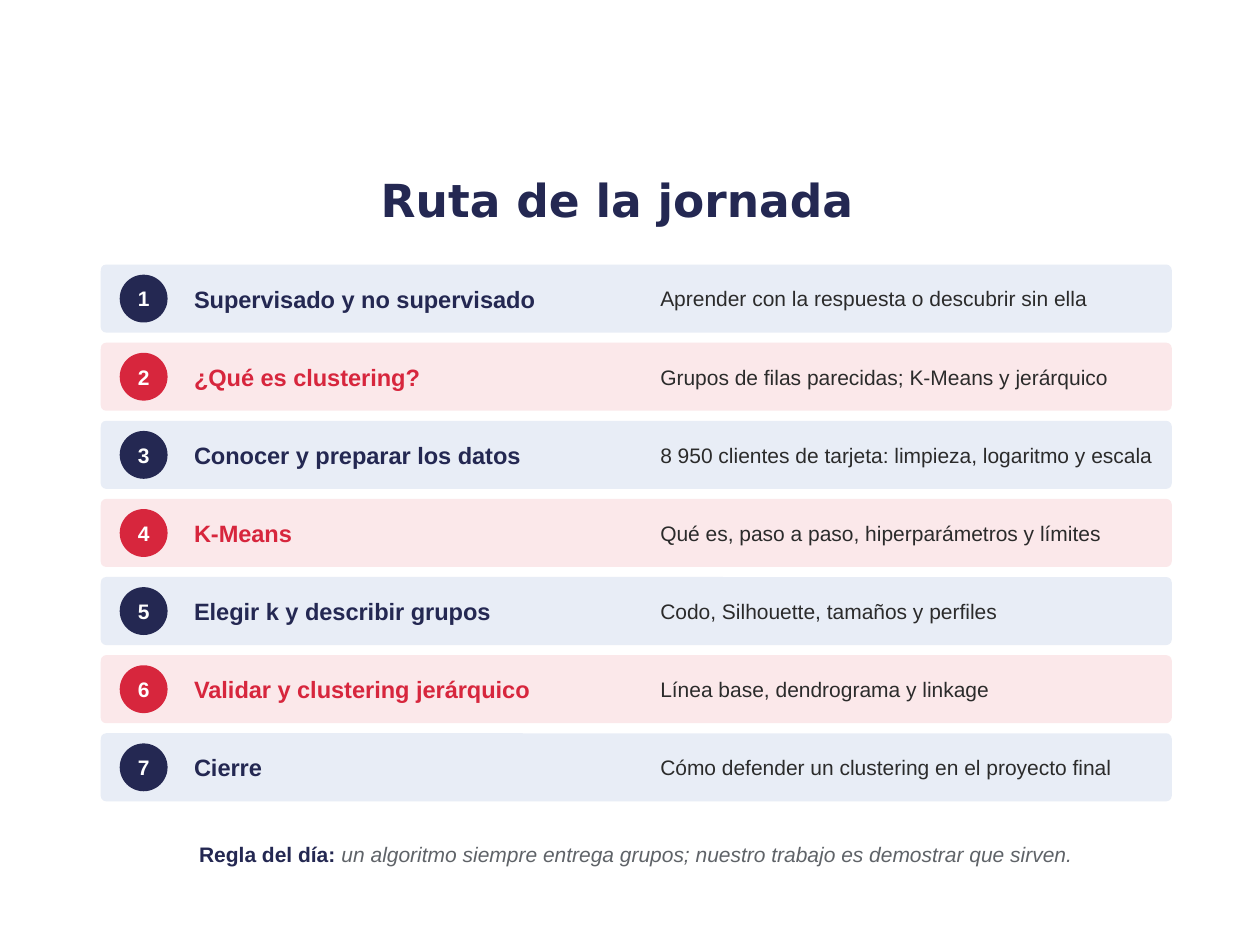
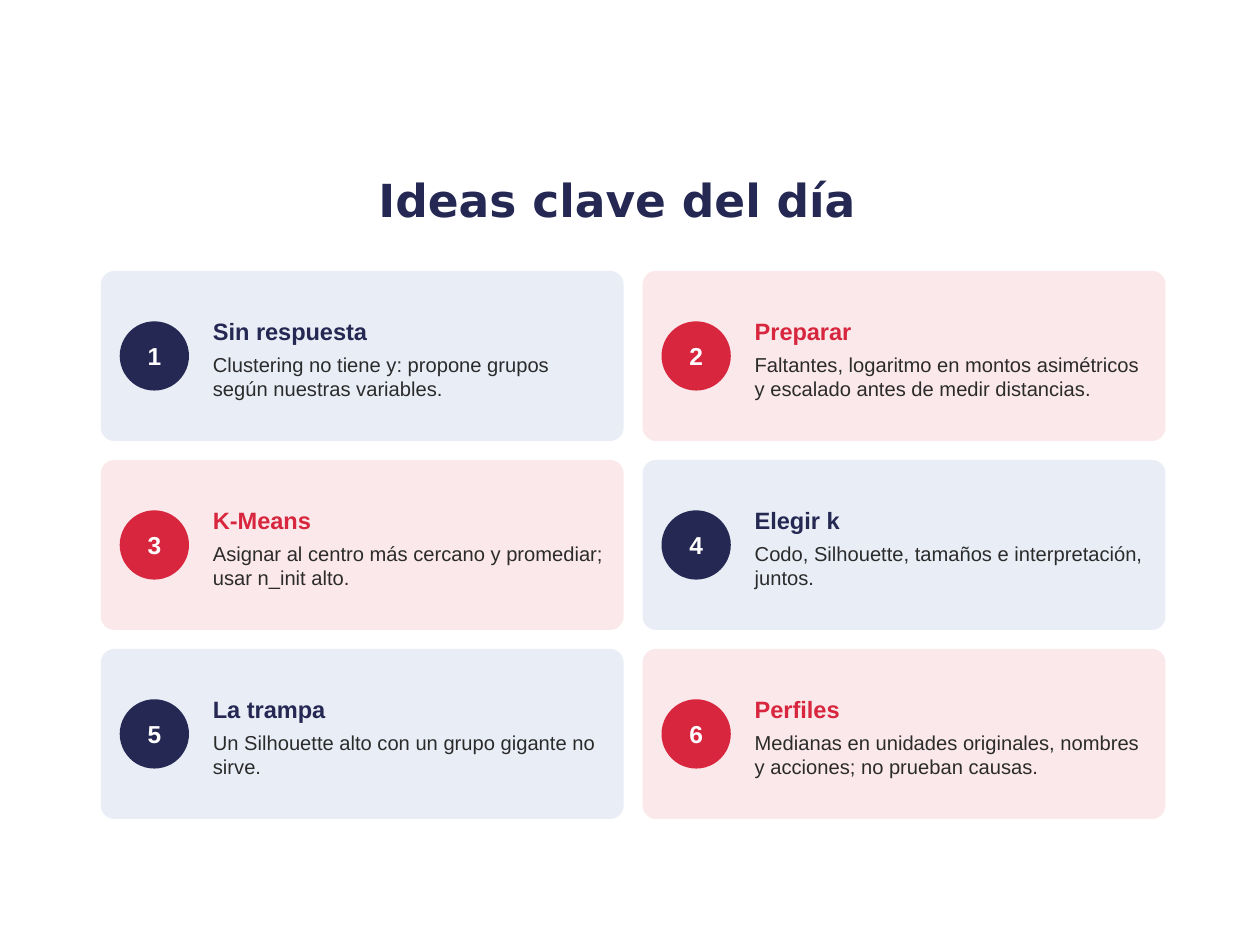
from pptx import Presentation
from pptx.dml.color import RGBColor
from pptx.enum.shapes import MSO_SHAPE
from pptx.enum.text import MSO_ANCHOR, MSO_AUTO_SIZE, PP_ALIGN
from pptx.util import Inches, Pt

ROUNDED, OVAL = MSO_SHAPE.ROUNDED_RECTANGLE, MSO_SHAPE.OVAL
MIDDLE = MSO_ANCHOR.MIDDLE
LEFT, CENTER = PP_ALIGN.LEFT, PP_ALIGN.CENTER
GROW, FIXED = MSO_AUTO_SIZE.SHAPE_TO_FIT_TEXT, MSO_AUTO_SIZE.NONE

NAVY, RED, WHITE = "242852", "D7263D", "FFFFFF"
INK, GRAY = "2B2B2B", "5F6368"
THEMES = [(NAVY, "E8EDF6"), (RED, "FBE8EA")]
TITLE_FONT, BODY_FONT = "DejaVu Sans", "Arial"
MARGIN = 0.8
BADGE_INSET = 0.15

ROUTE_TITLE = "Ruta de la jornada"
ROUTE = [
    ("Supervisado y no supervisado", "Aprender con la respuesta o descubrir sin ella"),
    ("¿Qué es clustering?", "Grupos de filas parecidas; K-Means y jerárquico"),
    ("Conocer y preparar los datos", "8 950 clientes de tarjeta: limpieza, logaritmo y escala"),
    ("K-Means", "Qué es, paso a paso, hiperparámetros y límites"),
    ("Elegir k y describir grupos", "Codo, Silhouette, tamaños y perfiles"),
    ("Validar y clustering jerárquico", "Línea base, dendrograma y linkage"),
    ("Cierre", "Cómo defender un clustering en el proyecto final"),
]
RULE_LABEL = "Regla del día: "
RULE = "un algoritmo siempre entrega grupos; nuestro trabajo es demostrar que sirven."

IDEAS_TITLE = "Ideas clave del día"
IDEAS = [
    ("Sin respuesta", "Clustering no tiene y: propone grupos según nuestras variables."),
    ("Preparar", "Faltantes, logaritmo en montos asimétricos y escalado antes de medir distancias."),
    ("K-Means", "Asignar al centro más cercano y promediar; usar n_init alto."),
    ("Elegir k", "Codo, Silhouette, tamaños e interpretación, juntos."),
    ("La trampa", "Un Silhouette alto con un grupo gigante no sirve."),
    ("Perfiles", "Medianas en unidades originales, nombres y acciones; no prueban causas."),
]


def rgb(value):
    return RGBColor.from_string(value)


def style(run, size, color, bold=False, italic=False, face=BODY_FONT):
    font = run.font
    font.name, font.size = face, Pt(size)
    font.bold, font.italic = bold, italic
    font.color.rgb = rgb(color)


def set_frame(frame, inset):
    frame.word_wrap = True
    frame.vertical_anchor = MIDDLE
    frame.margin_left = frame.margin_right = Inches(inset)
    frame.margin_top = frame.margin_bottom = Inches(inset)


def add_filled(slide, preset, left, top, width, height, color):
    shape = slide.shapes.add_shape(
        preset, Inches(left), Inches(top), Inches(width), Inches(height))
    shape.shadow.inherit = False
    shape.fill.solid()
    shape.fill.fore_color.rgb = rgb(color)
    shape.line.fill.background()
    return shape


def add_text(slide, left, top, width, height, paragraphs, align=LEFT,
             inset=0.04, fit=GROW, after=4):
    box = slide.shapes.add_textbox(
        Inches(left), Inches(top), Inches(width), Inches(height))
    frame = box.text_frame
    set_frame(frame, inset)
    frame.auto_size = fit
    for index, runs in enumerate(paragraphs):
        paragraph = frame.add_paragraph() if index else frame.paragraphs[0]
        paragraph.alignment = align
        paragraph.space_after = Pt(after)
        for text, *look in runs:
            run = paragraph.add_run()
            run.text = text
            style(run, *look)


def add_numbered_card(slide, left, top, width, height, number, badge_size, number_size, theme):
    accent, tint = theme
    card = add_filled(slide, ROUNDED, left, top, width, height, tint)
    card.adjustments[0] = 0.08
    badge = add_filled(slide, OVAL, left + BADGE_INSET, top + (height - badge_size) / 2,
                       badge_size, badge_size, accent)
    frame = badge.text_frame
    set_frame(frame, 0)
    frame.text = str(number)
    paragraph = frame.paragraphs[0]
    paragraph.alignment = CENTER
    paragraph.space_after = Pt(3)
    style(paragraph.runs[0], number_size, WHITE, True)


def add_titled_slide(deck, text):
    slide = deck.slides.add_slide(deck.slide_layouts[5])
    title = slide.shapes.title
    title.left, title.top = Inches(0.75), Inches(1.18)
    title.width, title.height = Inches(8.3), Inches(0.8)
    title.text_frame.text = text
    title.text_frame.vertical_anchor = MIDDLE
    paragraph = title.text_frame.paragraphs[0]
    paragraph.alignment = CENTER
    style(paragraph.runs[0], 26, NAVY, True, face=TITLE_FONT)
    return slide


def build_route(deck):
    slide = add_titled_slide(deck, ROUTE_TITLE)
    first_top, row_height, pitch = 2.1, 0.54, 0.62
    for index, (topic, detail) in enumerate(ROUTE):
        top = first_top + index * pitch
        theme = THEMES[index % 2]
        add_numbered_card(slide, MARGIN, top, 8.5, row_height, index + 1, 0.38, 12, theme)
        add_text(slide, 1.5, top + 0.02, 3.7, 0.5, [[(topic, 13.5, theme[0], True)]])
        add_text(slide, 5.2, top + 0.02, 4.05, 0.5, [[(detail, 12, INK)]])
    add_text(slide, MARGIN, 6.58, 8.5, 0.4,
             [[(RULE_LABEL, 12, NAVY, True), (RULE, 12, GRAY, False, True)]],
             CENTER, 0.08, FIXED, 3)


def build_ideas(deck):
    slide = add_titled_slide(deck, IDEAS_TITLE)
    first_top, card_width, card_height, gap = 2.15, 4.15, 1.35, 0.15
    for index, (idea, detail) in enumerate(IDEAS):
        row, column = divmod(index, 2)
        left = MARGIN + column * (card_width + gap)
        top = first_top + row * (card_height + gap)
        theme = THEMES[(row + column) % 2]
        add_numbered_card(slide, left, top, card_width, card_height, index + 1, 0.55, 14, theme)
        add_text(slide, left + 0.85, top + 0.12, 3.2, 1.15,
                 [[(idea, 13.5, theme[0], True)], [(detail, 11.5, INK)]])


def main():
    deck = Presentation()
    deck.slide_width, deck.slide_height = Inches(10), Inches(7.5)
    build_route(deck)
    build_ideas(deck)
    deck.save("out.pptx")


if __name__ == "__main__":
    main()
